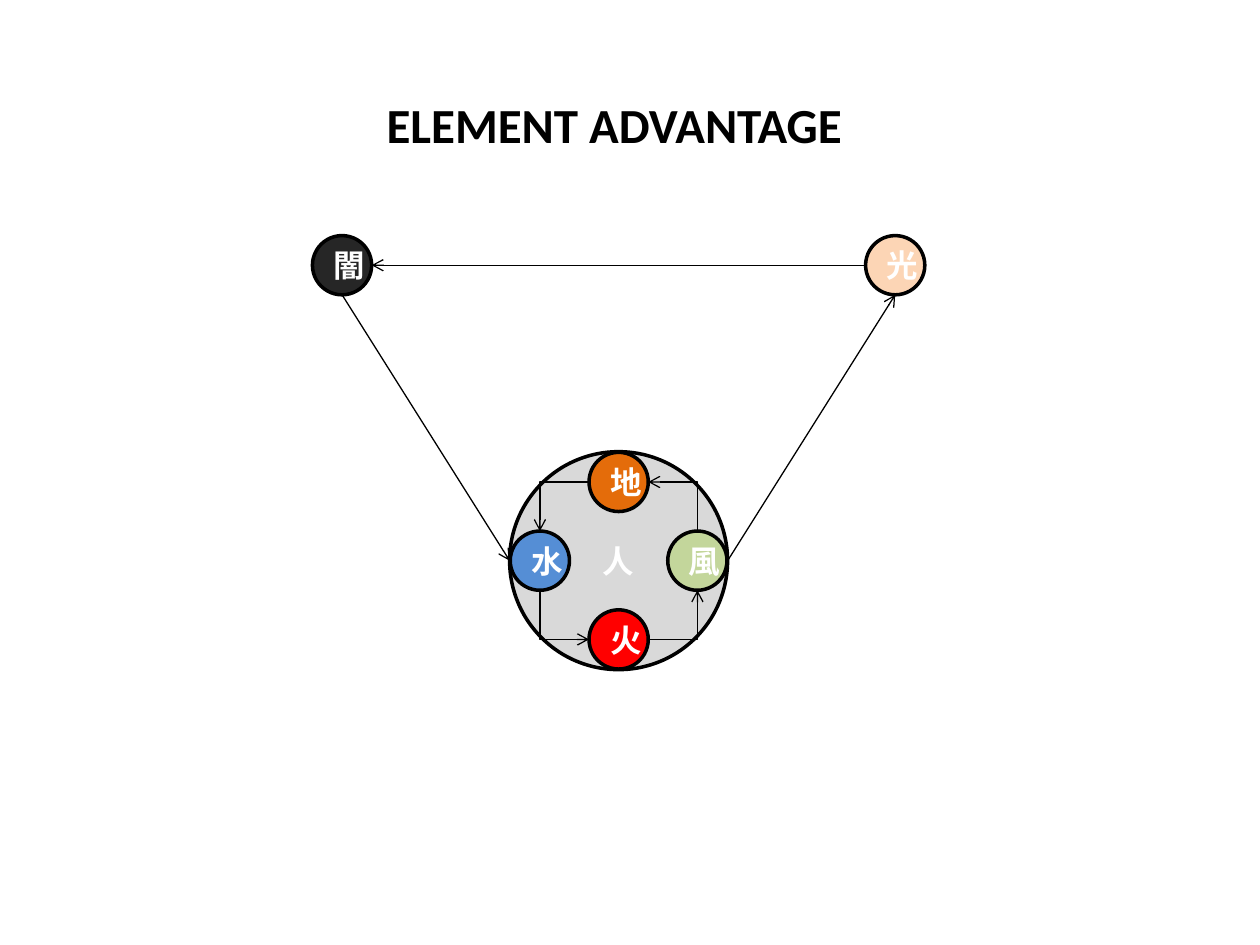
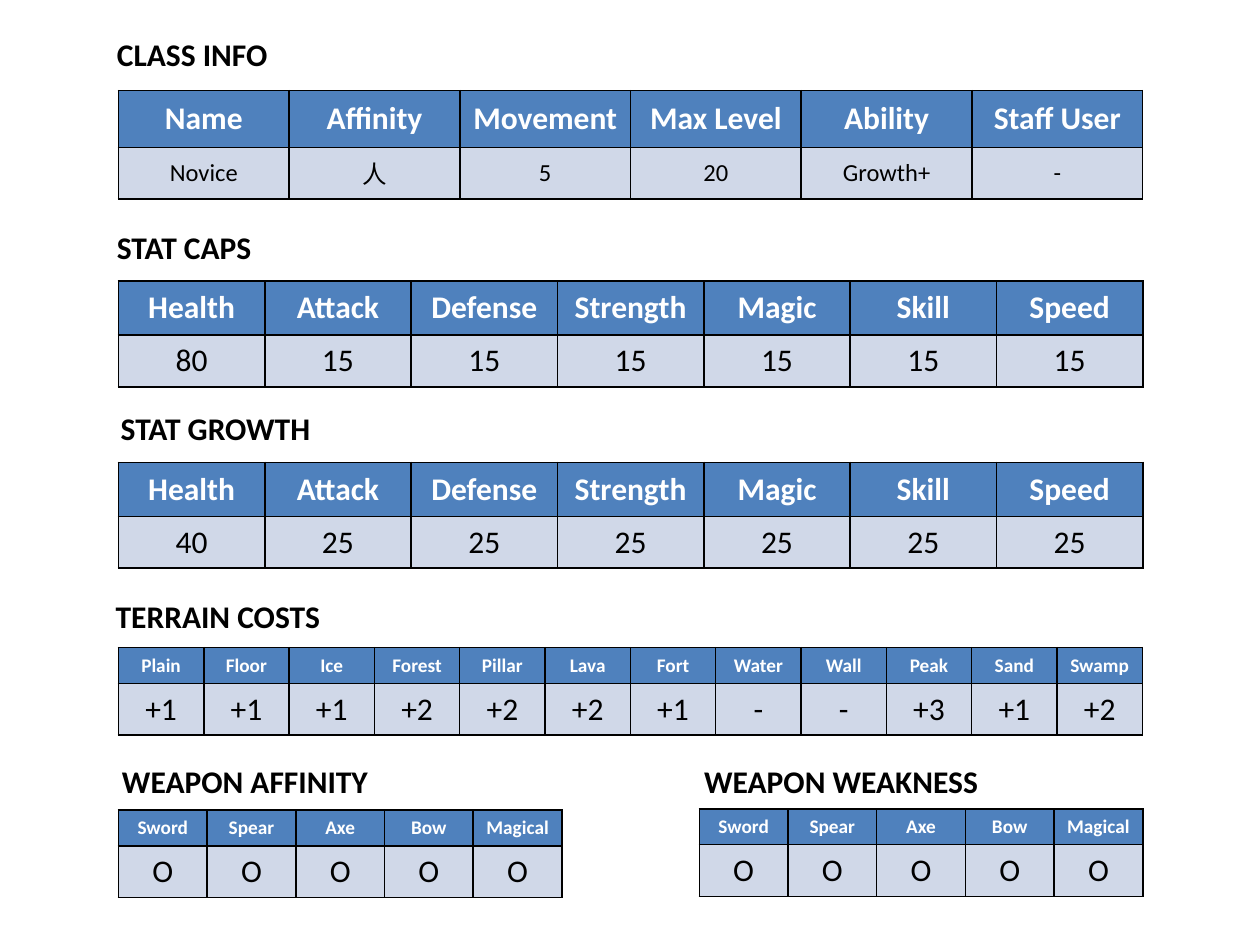
import dataclasses

import pptx
import pptx.dml.color
import pptx.enum.shapes
import pptx.enum.text
import pptx.oxml
import pptx.oxml.ns
import pptx.util
from lxml import etree
from pptx.util import Inches

qn = pptx.oxml.ns.qn
MIDDLE = pptx.enum.text.MSO_ANCHOR.MIDDLE
CENTER = pptx.enum.text.PP_ALIGN.CENTER


@dataclasses.dataclass(frozen=True)
class Theme:
    """Colours, font and type sizes shared by both slides."""
    font: str = "Calibri"
    ink: str = "000000"
    paper: str = "FFFFFF"
    header: str = "4F81BD"
    body: str = "D0D8E8"
    human: str = "D9D9D9"
    earth: str = "E46C0A"
    fire: str = "FF0000"
    wind: str = "C3D69B"
    water: str = "558ED5"
    dark: str = "262626"
    light: str = "FCD5B5"
    title: int = 28
    normal: int = 18
    small: int = 14
    tiny: int = 11


theme = Theme()
rgb = pptx.dml.color.RGBColor.from_string


def write(frame, text, *, size=theme.normal, color=theme.ink, bold=True, align=None):
    """Put one formatted run of text into a text frame."""
    paragraph = frame.paragraphs[0]
    if align is not None:
        paragraph.alignment = align
    run = paragraph.add_run()
    run.text = text
    run.font.name = theme.font
    run.font.size = pptx.util.Pt(size)
    run.font.bold = bold
    run.font.color.rgb = rgb(color)


def link(start, start_site, end, end_site, *, bent=False, arrow="tailEnd"):
    """Join two circles at the given sites with an arrow."""
    kind = pptx.enum.shapes.MSO_CONNECTOR
    points = []
    for circle, site in ((start, start_site), (end, end_site)):
        across, down, _ = SITES[site]
        points += [circle.left + int(circle.width * across),
                   circle.top + int(circle.height * down)]
    arrow_line = advantage.shapes.add_connector(kind.ELBOW if bent else kind.STRAIGHT, *points)
    arrow_line.line.color.rgb = rgb(theme.ink)
    arrow_line.line.width = pptx.util.Pt(0.75)
    etree.SubElement(arrow_line.line._get_or_add_ln(), qn("a:" + arrow), type="arrow")
    properties = arrow_line._element.spPr
    etree.SubElement(properties, qn("a:effectLst"))
    if bent:
        properties.find(qn("a:prstGeom")).set("prst", "bentConnector2")
    joints = arrow_line._element.find(".//" + qn("p:cNvCxnSpPr"))
    for tag, circle, site in (("a:stCxn", start, start_site), ("a:endCxn", end, end_site)):
        etree.SubElement(joints, qn(tag), id=str(circle.shape_id), idx=str(SITES[site][2]))


deck = pptx.Presentation()
deck.slide_width, deck.slide_height = Inches(10), Inches(7.5)
blank = deck.slide_layouts[6]
advantage = deck.slides.add_slide(blank)
class_sheet = deck.slides.add_slide(blank)

# Element circles: character, centre, diameter, fill
CENTER_X, CENTER_Y = 4.91, 4.45
ORBIT, BADGE = 0.625, 0.47
TOP_Y, SPREAD = 2.105, 2.195
ELEMENTS = {
    "human": ("人", CENTER_X, CENTER_Y, 1.73),
    "earth": ("地", CENTER_X, CENTER_Y - ORBIT, BADGE),
    "fire": ("火", CENTER_X, CENTER_Y + ORBIT, BADGE),
    "wind": ("風", CENTER_X + ORBIT, CENTER_Y, BADGE),
    "water": ("水", CENTER_X - ORBIT, CENTER_Y, BADGE),
    "dark": ("闇", CENTER_X - SPREAD, TOP_Y, BADGE),
    "light": ("光", CENTER_X + SPREAD, TOP_Y, BADGE),
}
circles = {}
for element, (character, x, y, diameter) in ELEMENTS.items():
    circle = advantage.shapes.add_shape(
        pptx.enum.shapes.MSO_SHAPE.OVAL, Inches(x - diameter / 2), Inches(y - diameter / 2),
        Inches(diameter), Inches(diameter))
    circle.shadow.inherit = False
    circle.fill.solid()
    circle.fill.fore_color.rgb = rgb(getattr(theme, element))
    circle.line.color.rgb = rgb(theme.ink)
    circle.line.width = pptx.util.Pt(2)
    circle.text_frame.vertical_anchor = MIDDLE
    write(circle.text_frame, character, color=theme.paper, align=CENTER)
    circles[element] = circle

# Sites on a circle: share of width, share of height, ellipse connection index
SITES = {"top": (0.5, 0, 0), "left": (0, 0.5, 2), "bottom": (0.5, 1, 4), "right": (1, 0.5, 6)}

# Bent arrows leave earth and fire sideways, so two carry the head at their start
for start, start_site, end, end_site, arrow in (
    ("earth", "left", "water", "top", "tailEnd"),
    ("fire", "left", "water", "bottom", "headEnd"),
    ("fire", "right", "wind", "bottom", "tailEnd"),
    ("earth", "right", "wind", "top", "headEnd"),
):
    link(circles[start], start_site, circles[end], end_site, bent=True, arrow=arrow)
for start, start_site, end, end_site in (
    ("dark", "bottom", "human", "left"),
    ("human", "right", "light", "bottom"),
    ("light", "left", "dark", "right"),
):
    link(circles[start], start_site, circles[end], end_site)

# Headings: slide, text, left, top, width, height, size
for slide, heading, left, top, width, height, size in (
    (advantage, "ELEMENT ADVANTAGE", 2.97, 0.7, 3.86, 0.57, theme.title),
    (class_sheet, "CLASS INFO", 0.83, 0.23, 1.41, 0.4, theme.normal),
    (class_sheet, "STAT CAPS", 0.83, 1.76, 1.28, 0.4, theme.normal),
    (class_sheet, "STAT GROWTH", 0.86, 3.2, 1.72, 0.4, theme.normal),
    (class_sheet, "TERRAIN COSTS", 0.82, 4.69, 1.84, 0.4, theme.normal),
    (class_sheet, "WEAPON AFFINITY", 0.87, 6, 2.17, 0.4, theme.normal),
    (class_sheet, "WEAPON WEAKNESS", 5.49, 6, 2.4, 0.4, theme.normal),
):
    frame = slide.shapes.add_textbox(
        Inches(left), Inches(top), Inches(width), Inches(height)).text_frame
    frame.word_wrap = False
    frame.auto_size = pptx.enum.text.MSO_AUTO_SIZE.SHAPE_TO_FIT_TEXT
    write(frame, heading, size=size)

# Tables: left, top, width, header height, header size, body size, labels, values
LEFT, FULL, HALF, BODY_HEIGHT = 0.94, 8.13, 3.52, 0.41
CLASS_LABELS = ["Name", "Affinity", "Movement", "Max Level", "Ability", "Staff User"]
CLASS_VALUES = ["Novice", "人", "5", "20", "Growth+", "-"]
STATS = ["Health", "Attack", "Defense", "Strength", "Magic", "Skill", "Speed"]
TERRAIN = ["Plain", "Floor", "Ice", "Forest", "Pillar", "Lava",
           "Fort", "Water", "Wall", "Peak", "Sand", "Swamp"]
COSTS = ["+1", "+1", "+1", "+2", "+2", "+2", "+1", "-", "-", "+3", "+1", "+2"]
WEAPONS = ["Sword", "Spear", "Axe", "Bow", "Magical"]
for left, top, width, header_height, header_size, body_size, labels, values in (
    (LEFT, 0.72, FULL, 0.45, theme.normal, theme.small, CLASS_LABELS, CLASS_VALUES),
    (LEFT, 2.23, FULL, 0.43, theme.normal, theme.normal, STATS, ["80"] + ["15"] * 6),
    (LEFT, 3.67, FULL, 0.43, theme.normal, theme.normal, STATS, ["40"] + ["25"] * 6),
    (LEFT, 5.14, FULL, 0.28, theme.tiny, theme.normal, TERRAIN, COSTS),
    (LEFT, 6.43, HALF, 0.28, theme.tiny, theme.normal, WEAPONS, ["O"] * 5),
    (5.55, 6.42, HALF, 0.28, theme.tiny, theme.normal, WEAPONS, ["O"] * 5),
):
    grid = class_sheet.shapes.add_table(
        2, len(labels), Inches(left), Inches(top), Inches(width),
        Inches(header_height + BODY_HEIGHT)).table
    for column in grid.columns:
        column.width = Inches(width / len(labels))
    for row, (texts, height, size, color, fill) in enumerate((
        (labels, header_height, header_size, theme.paper, theme.header),
        (values, BODY_HEIGHT, body_size, theme.ink, theme.body),
    )):
        grid.rows[row].height = Inches(height)
        for cell, text in zip(grid.rows[row].cells, texts):
            cell.vertical_anchor = MIDDLE
            for side in ("a:lnL", "a:lnR", "a:lnT", "a:lnB"):
                border = etree.SubElement(cell._tc.get_or_add_tcPr(), qn(side),
                                          w=str(pptx.util.Pt(1)))
                paint = etree.SubElement(border, qn("a:solidFill"))
                etree.SubElement(paint, qn("a:srgbClr"), val=theme.ink)
            cell.fill.solid()
            cell.fill.fore_color.rgb = rgb(fill)
            write(cell.text_frame, text, size=size, color=color, bold=row == 0, align=CENTER)

deck.save("out.pptx")
